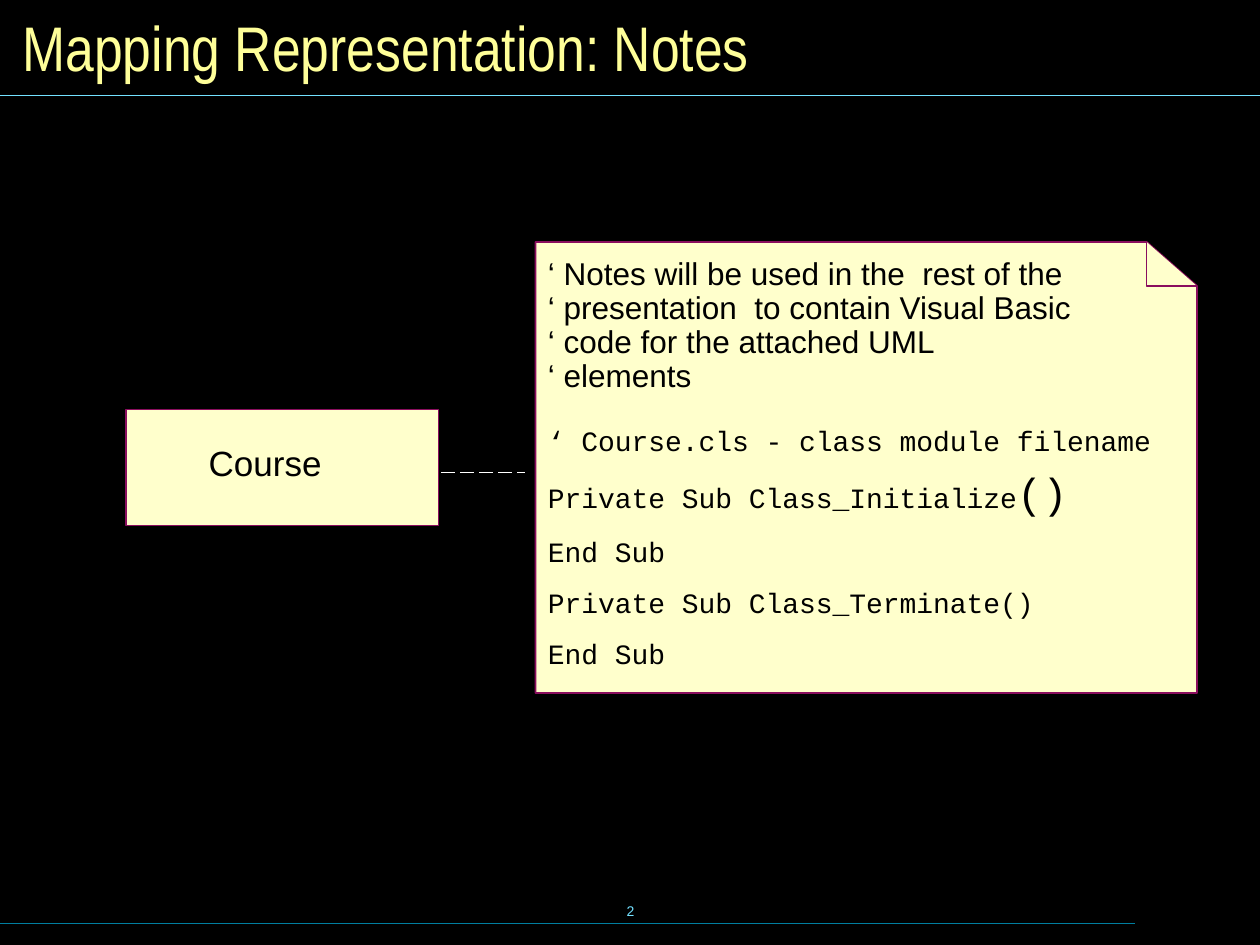
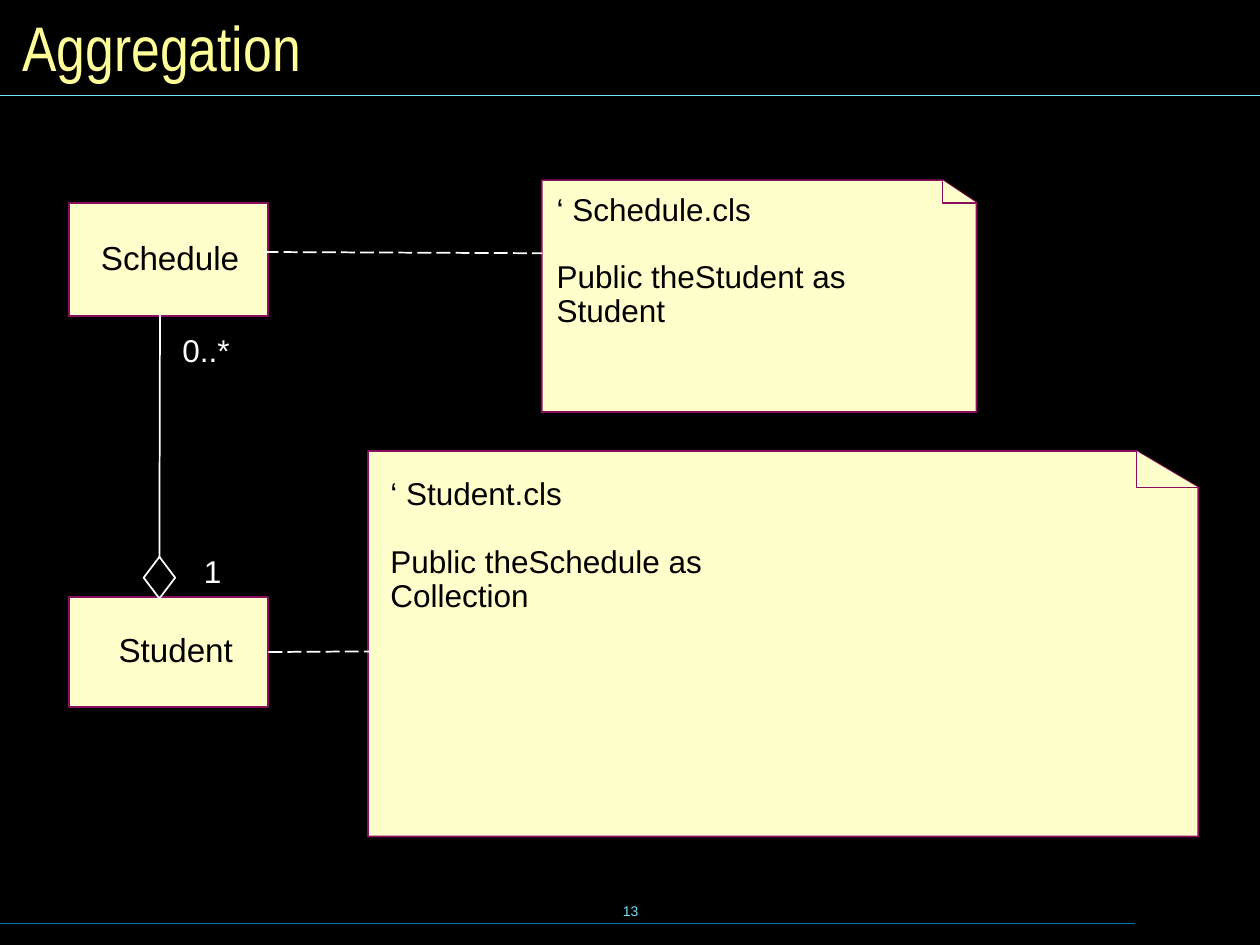
from lxml.etree import SubElement
from pptx import Presentation
from pptx.dml.color import RGBColor
from pptx.enum.dml import MSO_LINE
from pptx.enum.shapes import MSO_CONNECTOR, MSO_SHAPE
from pptx.enum.text import MSO_ANCHOR, PP_ALIGN
from pptx.oxml.ns import qn
from pptx.util import Inches, Pt

rgb = RGBColor.from_string
BLACK, WHITE = "000000", "FFFFFF"
CREAM, PLUM = "FFFFCC", "8A0E5E"
TITLE_YELLOW, SKY, TEAL = "FFFF99", "73E1FF", "007E9F"
BLANK_LINE = 19


def add_text(slide, place, lines, size, color=BLACK, font="Arial",
             align=PP_ALIGN.LEFT, anchor=MSO_ANCHOR.TOP, wrap=False, spacing=None):
    text_frame = slide.shapes.add_textbox(*map(Inches, place)).text_frame
    text_frame.word_wrap = wrap
    text_frame.vertical_anchor = anchor
    text_frame.text = "\n".join(lines)
    for paragraph in text_frame.paragraphs:
        paragraph.alignment = align
        paragraph.line_spacing = spacing
        for run in paragraph.runs:
            run.font.name = font
            run.font.size = Pt(size)
            run.font.color.rgb = rgb(color)
    return text_frame


def add_line(slide, start, end, color=WHITE, width=1, dash=None):
    line = slide.shapes.add_connector(MSO_CONNECTOR.STRAIGHT, *map(Inches, start + end))
    line.line.color.rgb = rgb(color)
    line.line.width = Pt(width)
    line.line.dash_style = dash
    SubElement(line._element.spPr, qn("a:effectLst"))
    return line


presentation = Presentation()
presentation.slide_width, presentation.slide_height = Inches(10), Inches(7.5)
background = presentation.slide_master.background.fill
background.solid()
background.fore_color.rgb = rgb(BLACK)

pages = [
    {"title": "Mapping Representation: Notes", "number": "2",
     "classes": [("Course", (1, 3.25, 2.48, 0.92), (1.44, 3.49, 1.33, 0.4), 20)],
     "notes": [(4.25, 1.92, 9.5, 5.5, 0.4, 0.35)]},
    {"title": "Aggregation", "number": "13",
     "classes": [("Schedule", (0.55, 1.61, 1.58, 0.9), (0.7, 1.87, 1.3, 0.39), 19),
                 ("Student", (0.55, 4.74, 1.58, 0.87), (0.84, 4.98, 1.11, 0.39), 19)],
     "notes": [(4.3, 1.43, 7.75, 3.27, 0.27, 0.18),
               (2.92, 3.58, 9.51, 6.64, 0.49, 0.29)]},
]
slides, class_boxes = [], {}
for page in pages:
    slide = presentation.slides.add_slide(presentation.slide_layouts[6])
    slides.append(slide)
    add_text(slide, (0.08, 0.08, 9.84, 0.58), [page["title"]], 36, TITLE_YELLOW,
             "Arial Narrow", anchor=MSO_ANCHOR.MIDDLE, wrap=True)
    add_line(slide, (0, 0.76), (10, 0.76), SKY, 0.75)
    add_line(slide, (0, 7.33), (9.01, 7.33), TEAL, 0.75)
    add_text(slide, (3.42, 6.98, 3.17, 0.5), [page["number"]], 8, SKY,
             align=PP_ALIGN.CENTER, anchor=MSO_ANCHOR.MIDDLE)

    outlined = []
    for name, box, label, size in page["classes"]:
        class_boxes[name] = slide.shapes.add_shape(MSO_SHAPE.RECTANGLE, *map(Inches, box))
        outlined.append(class_boxes[name])
        add_text(slide, label, [name], size, align=PP_ALIGN.CENTER, spacing=0.9)
    for left, top, right, bottom, fold_width, fold_height in page["notes"]:
        fold_left, fold_bottom = right - fold_width, top + fold_height
        sheet = [(right, bottom), (left, bottom), (left, top), (fold_left, top),
                 (right, fold_bottom)]
        fold = [(right, fold_bottom), (fold_left, fold_bottom), (fold_left, top)]
        for points, closed in ((sheet, True), (fold, False)):
            corners = [(Inches(x), Inches(y)) for x, y in points]
            builder = slide.shapes.build_freeform(*corners[0])
            builder.add_line_segments(corners[1:], close=closed)
            outlined.append(builder.convert_to_shape())
    for shape in outlined:
        shape.shadow.inherit = False
        shape.fill.solid()
        shape.fill.fore_color.rgb = rgb(CREAM)
        shape.line.color.rgb = rgb(PLUM)
        shape.line.width = Pt(1)
    for shape in class_boxes.values():
        tree = shape._element.getparent()
        tree.remove(shape._element)
        tree.insert(2, shape._element)

notes_slide, aggregation_slide = slides

course_code = add_text(notes_slide, (4.25, 2, 5.08, 3.37), [
    "‘ Notes will be used in the  rest of the\v‘ presentation  to contain Visual Basic"
    "\v‘ code for the attached UML\v‘ elements",
    "‘ Course.cls - class module filename",
    "Private Sub Class_Initialize",
    "End Sub",
    "Private Sub Class_Terminate()",
    "End Sub",
], 18, wrap=True)
comment, filename, *code = course_code.paragraphs
comment.line_spacing = filename.line_spacing = 0.9
filename.space_before = Pt(BLANK_LINE)
code[0].add_run().text = "()"
for paragraph in code:
    paragraph.space_before = paragraph.space_after = Pt(5)
for paragraph in [filename, *code]:
    for run in paragraph.runs:
        run.font.name = "Courier New"
        run.font.size = Pt(16)
        run.font.color.rgb = rgb(BLACK)
code[0].runs[1].font.size = Pt(24)
add_line(notes_slide, (3.5, 3.75), (4.17, 3.75), dash=MSO_LINE.LONG_DASH)

for place, lines in [
    ((4.32, 1.49, 3.42, 0.9), ["‘ Schedule.cls", "Public theStudent as Student"]),
    ((3, 3.75, 3.83, 0.9), ["‘ Student.cls", "Public theSchedule as Collection"]),
]:
    class_code = add_text(aggregation_slide, place, lines, 18, spacing=0.9)
    class_code.paragraphs[1].space_before = Pt(BLANK_LINE)

for place, multiplicity in [((1.35, 2.58, 1, 0.4), "0..*"), ((1.52, 4.33, 1, 0.4), "1")]:
    add_text(aggregation_slide, place, [multiplicity], 18, WHITE, wrap=True)

diamond = aggregation_slide.shapes.add_shape(
    MSO_SHAPE.DIAMOND, Inches(1.14), Inches(4.42), Inches(0.25), Inches(0.33))
diamond.shadow.inherit = False
diamond.fill.background()
diamond.line.color.rgb = rgb(WHITE)
diamond.line.width = Pt(1)
aggregation_line = add_line(aggregation_slide, (1.27, 4.42), (1.27, 2.5))
aggregation_line.begin_connect(diamond, 0)

add_line(aggregation_slide, (2.1, 2), (4.3, 2.01), dash=MSO_LINE.LONG_DASH)
student_link = add_line(aggregation_slide, (2.13, 5.17), (2.94, 5.17), dash=MSO_LINE.LONG_DASH)
student_link.begin_connect(class_boxes["Student"], 3)

presentation.save("out.pptx")
